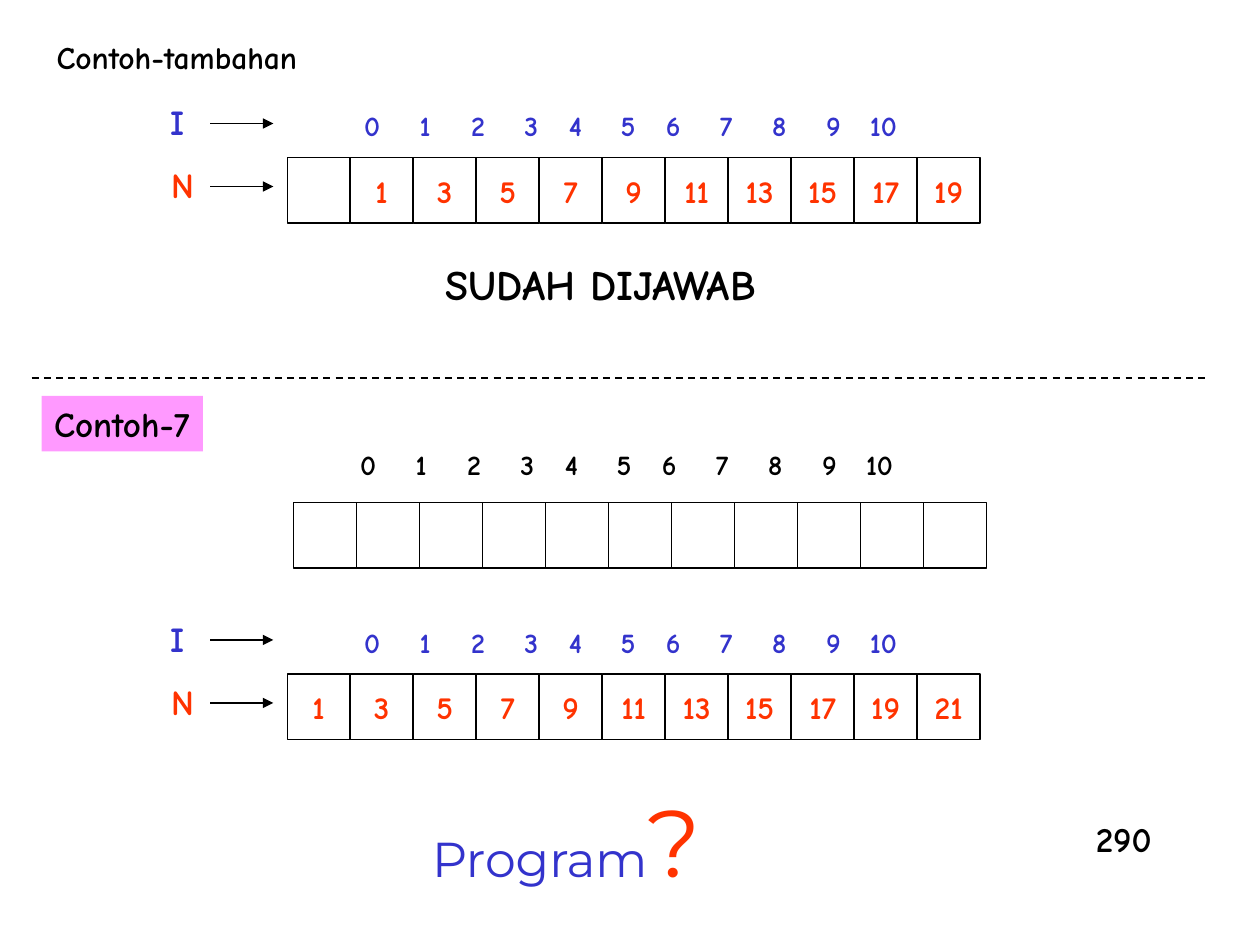
from dataclasses import dataclass
from typing import Any

from lxml import etree
from pptx import Presentation
from pptx.dml.color import RGBColor
from pptx.enum import dml, shapes, text
from pptx.oxml import ns
from pptx.util import Cm, Pt

BLACK = RGBColor(0x00, 0x00, 0x00)
BLUE = RGBColor(0x33, 0x33, 0xCC)
RED = RGBColor(0xFF, 0x33, 0x00)
PINK = RGBColor(0xFF, 0x99, 0xFF)
COMIC = "Comic Neue"
SANS = "Montserrat"

COUNT = 11
CELL_W, CELL_H = 1.27, 1.32
STOPS = (0.54, 1.61, 2.68, 3.75, 4.64, 5.7, 6.61, 7.68, 8.75, 9.84, 10.85)


@dataclass
class Run:
    text: str
    size: float
    color: RGBColor = BLACK
    font: str = COMIC
    bold: bool = True


@dataclass
class Box:
    left: float
    top: float
    width: float
    height: float
    runs: list[Run]
    wrap: bool = False


@dataclass
class Row:
    """An array of cells with the index numbers above it."""
    left: float
    top: float
    values: list[str]
    index: Box
    shift: float = 0


def add_run(para: Any, item: Run) -> None:
    run = para.add_run()
    run.text = item.text
    font = run.font
    font.name, font.size, font.bold = item.font, Pt(item.size), item.bold
    font.color.rgb = item.color


def add_text(parent: Any, box: Box) -> Any:
    shape = parent.add_textbox(Cm(box.left), Cm(box.top), Cm(box.width), Cm(box.height))
    frame = shape.text_frame
    frame.word_wrap = box.wrap
    for item in box.runs:
        add_run(frame.paragraphs[0], item)
    return shape


def set_tabs(para: Any, shift: float) -> None:
    """Add a centred tab stop for each index number."""
    tabs = etree.SubElement(para._p.get_or_add_pPr(), ns.qn("a:tabLst"))
    for stop in STOPS:
        etree.SubElement(tabs, ns.qn("a:tab"), pos=str(Cm(stop + shift)), algn="ctr")


def add_cell(parent: Any, left: float, top: float, value: str) -> None:
    cell = parent.add_shape(shapes.MSO_SHAPE.RECTANGLE, Cm(left), Cm(top),
                            Cm(CELL_W), Cm(CELL_H))
    cell.shadow.inherit = False
    cell.fill.background()
    cell.line.color.rgb = BLACK
    cell.line.width = Pt(0.75)
    frame = cell.text_frame
    frame.word_wrap = False
    frame.vertical_anchor = text.MSO_ANCHOR.MIDDLE
    para = frame.paragraphs[0]
    para.alignment = text.PP_ALIGN.CENTER
    if value:
        add_run(para, Run(value, 18, RED))


def add_row(parent: Any, row: Row) -> None:
    for i, value in enumerate(row.values):
        add_cell(parent, row.left + i * CELL_W, row.top, value)
    label = add_text(parent, row.index)
    set_tabs(label.text_frame.paragraphs[0], row.shift)


def add_line(parent: Any, left: float, right: float, y: float, width: float) -> Any:
    line = parent.add_connector(shapes.MSO_CONNECTOR.STRAIGHT,
                                Cm(left), Cm(y), Cm(right), Cm(y))
    line.line.color.rgb = BLACK
    line.line.width = Pt(width)
    etree.SubElement(line._element.spPr, ns.qn("a:effectLst"))
    return line


def add_arrow(parent: Any, y: float) -> None:
    line = add_line(parent, 4.24, 5.51, y, 0.75)
    etree.SubElement(line.line._get_or_add_ln(), ns.qn("a:tailEnd"), type="triangle")


def add_keys(parent: Any, top: float) -> None:
    """Label the index and value rows, each with its arrow."""
    add_arrow(parent, top - 0.69)
    add_arrow(parent, top + 0.58)
    add_text(parent, Box(3.18, top - 1.27, 0.79, 1.12, [Run("I", 20, BLUE)]))
    add_text(parent, Box(3.2, top, 0.97, 1.12, [Run("N", 20, RED)]))


def index_box(left: float, top: float, width: float, color: RGBColor) -> Box:
    digits = "".join(f"\t{i}" for i in range(COUNT))
    return Box(left, top, width, 0.94, [Run(digits, 16, color)], wrap=True)


def main() -> None:
    deck = Presentation()
    deck.slide_width, deck.slide_height = Cm(25.4), Cm(19.05)
    tree = deck.slides.add_slide(deck.slide_layouts[6]).shapes

    odds = [str(2 * i + 1) for i in range(COUNT)]
    for top, values in ((3.18, ["", *odds[:-1]]), (13.59, odds)):
        add_row(tree, Row(5.79, top, values, index_box(6.71, top - 1.11, 11.86, BLUE)))
        add_keys(tree, top)

    empty = Row(5.92, 10.13, [""] * COUNT, index_box(6.81, 8.89, 11.66, BLACK), -0.18)
    add_row(tree.add_group_shape().shapes, empty)

    add_text(tree, Box(0.89, 0.64, 5.38, 1.02, [Run("Contoh-tambahan", 18)]))
    badge = add_text(tree, Box(0.84, 7.98, 3.25, 1.12, [Run("Contoh-7", 20)]))
    badge.fill.solid()
    badge.fill.fore_color.rgb = PINK
    add_text(tree, Box(8.74, 5.08, 6.86, 1.27, [Run("SUDAH DIJAWAB", 24)]))

    rule = add_line(tree, 0.64, 24.33, 7.62, 1)
    rule.line.dash_style = dml.MSO_LINE.DASH

    ask = [Run("Program", 28, BLUE, SANS, False), Run("?", 54, RED, SANS, False)]
    add_text(tree, Box(8.46, 15.67, 6.55, 2.54, ask, wrap=True))
    add_text(tree, Box(21.84, 16.36, 1.63, 1.12, [Run("290", 20)]))

    deck.save("out.pptx")


if __name__ == "__main__":
    main()
